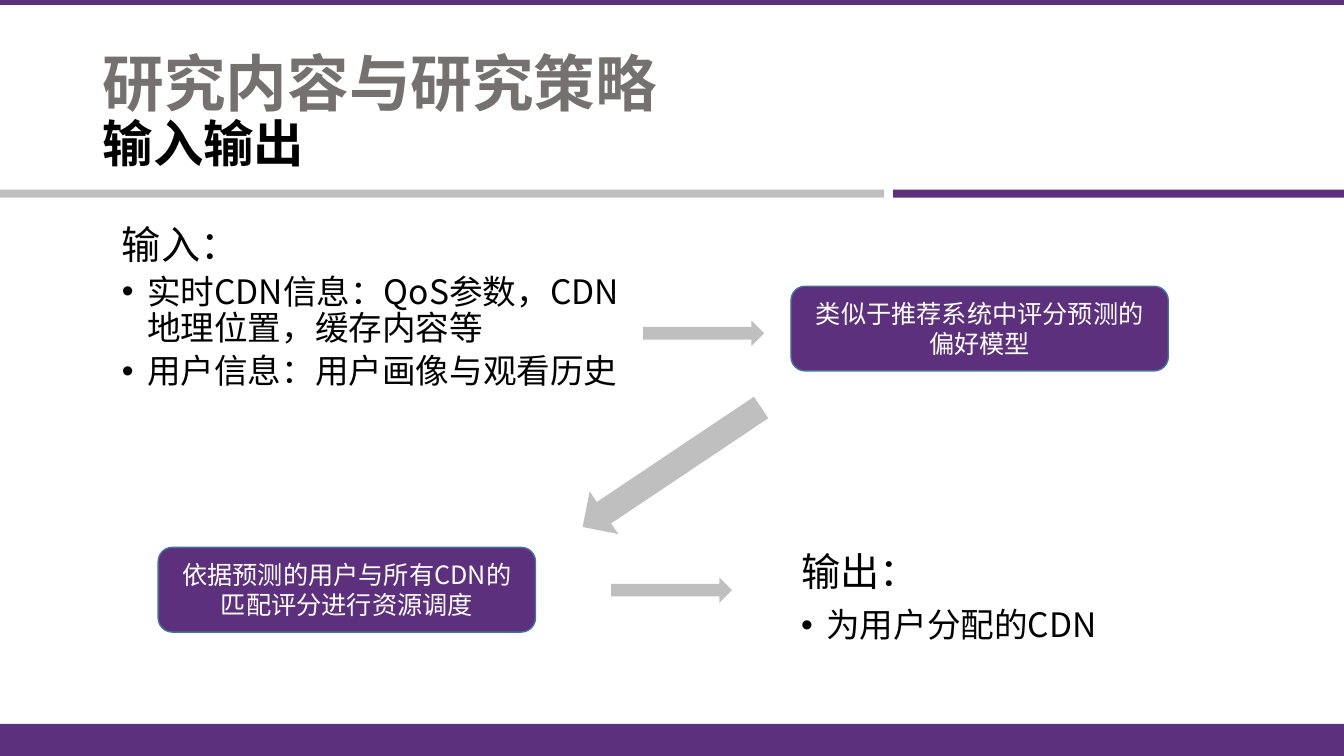
"""Build the slide on research content and strategy: inputs and outputs."""
from dataclasses import dataclass
from typing import Optional

import lxml.etree
import pptx
import pptx.dml.color
import pptx.enum.shapes
import pptx.enum.text
import pptx.oxml.ns
import pptx.util

Pt = pptx.util.Pt
ShapeType = pptx.enum.shapes.MSO_SHAPE
Align = pptx.enum.text.PP_ALIGN
Anchor = pptx.enum.text.MSO_ANCHOR

FONT = "Noto Sans CJK SC"
COLORS = {
    "purple": "5C307D",
    "silver": "BFBFBF",
    "gray": "767171",
    "outline": "43739E",
    "black": "000000",
    "white": "FFFFFF",
}
WIDTH, HEIGHT = 960, 540
BULLET_INDENT = 18


@dataclass(frozen=True)
class Box:
    left: float
    top: float
    width: float
    height: float


@dataclass(frozen=True)
class Figure:
    kind: ShapeType
    box: Box
    color: str
    rotation: float = 0
    text: Optional[str] = None


@dataclass(frozen=True)
class BulletList:
    box: Box
    heading: str
    items: tuple[str, ...]
    margin: float
    space_before: float


BARS = (
    Figure(ShapeType.RECTANGLE, Box(0, -1.4, WIDTH, 5), "purple"),
    Figure(ShapeType.RECTANGLE, Box(0, 517, WIDTH, 23), "purple"),
    Figure(ShapeType.RECTANGLE, Box(0, 135.4, 631.4, 5.8), "silver"),
    Figure(ShapeType.RECTANGLE, Box(638, 135.4, 322, 5.8), "purple"),
)
STEPS = (
    Figure(ShapeType.ROUNDED_RECTANGLE, Box(565, 204.5, 269.5, 60.5), "purple",
           text="类似于推荐系统中评分预测的偏好模型"),
    Figure(ShapeType.ROUNDED_RECTANGLE, Box(113, 391, 269.5, 60.5), "purple",
           text="依据预测的用户与所有CDN的匹配评分进行资源调度"),
)
ARROWS = (
    Figure(ShapeType.RIGHT_ARROW, Box(459.4, 229, 86.4, 18), "silver"),
    Figure(ShapeType.RIGHT_ARROW, Box(403.2, 315.4, 153.4, 36.7), "silver", 146.2),
    Figure(ShapeType.RIGHT_ARROW, Box(436.5, 412.5, 86.4, 18), "silver"),
)
LISTS = (
    BulletList(Box(44, 157.7, 408.2, 230), "输入：",
               ("实时CDN信息：QoS参数，CDN地理位置，缓存内容等", "用户信息：用户画像与观看历史"),
               36, 5),
    BulletList(Box(565.2, 391, 390, 120), "输出：", ("为用户分配的CDN",), 0, 10),
)


def rgb(name: str) -> pptx.dml.color.RGBColor:
    """Return the named colour."""
    return pptx.dml.color.RGBColor.from_string(COLORS[name])


def lengths(box: Box) -> tuple[pptx.util.Length, ...]:
    """Return the left, top, width and height of a box."""
    return Pt(box.left), Pt(box.top), Pt(box.width), Pt(box.height)


def format_run(run, size: float, color: str, bold: bool = False) -> None:
    """Set the font of a run for Latin and Chinese text."""
    run.font.size = Pt(size)
    run.font.bold = bold
    run.font.color.rgb = rgb(color)
    run.font.name = FONT
    properties = run.font._element
    east_asian = lxml.etree.Element(pptx.oxml.ns.qn("a:ea"), typeface=FONT)
    properties.find(pptx.oxml.ns.qn("a:latin")).addnext(east_asian)


def draw_title(slide) -> None:
    """Place and format the two-line title."""
    title = slide.shapes.title
    title.left, title.top, title.width, title.height = lengths(Box(66.2, 28.8, 828, 104.4))
    title.text_frame.text = "研究内容与研究策略\v输入输出"
    title.text_frame.vertical_anchor = Anchor.MIDDLE
    title.text_frame.auto_size = pptx.enum.text.MSO_AUTO_SIZE.NONE
    paragraph = title.text_frame.paragraphs[0]
    paragraph.alignment = Align.LEFT
    paragraph.line_spacing = 0.9
    topic, subtopic = paragraph.runs
    format_run(topic, 44, "gray", bold=True)
    format_run(subtopic, 36, "black", bold=True)


def draw_figure(slide, figure: Figure) -> None:
    """Draw a bar, an arrow or a labelled step."""
    shape = slide.shapes.add_shape(figure.kind, *lengths(figure.box))
    shape.shadow.inherit = False
    shape.rotation = figure.rotation
    shape.fill.solid()
    shape.fill.fore_color.rgb = rgb(figure.color)
    if figure.text is None:
        shape.line.fill.background()
        return
    shape.line.color.rgb = rgb("outline")
    shape.line.width = Pt(1)
    shape.text_frame.text = figure.text
    shape.text_frame.word_wrap = True
    shape.text_frame.vertical_anchor = Anchor.MIDDLE
    paragraph = shape.text_frame.paragraphs[0]
    paragraph.alignment = Align.CENTER
    format_run(paragraph.runs[0], 18, "white")


def indent(paragraph, margin: float, bullet: bool) -> None:
    """Set the left margin of a paragraph and its hanging bullet."""
    hanging = BULLET_INDENT if bullet else 0
    properties = paragraph._p.get_or_add_pPr()
    properties.set("marL", str(Pt(margin + hanging)))
    properties.set("indent", str(-Pt(hanging)))
    if bullet:
        for tag, name, value in (("a:buFont", "typeface", "Arial"), ("a:buChar", "char", "•")):
            lxml.etree.SubElement(properties, pptx.oxml.ns.qn(tag)).set(name, value)


def draw_list(slide, bullet_list: BulletList) -> None:
    """Draw a heading with its bulleted items."""
    text_frame = slide.shapes.add_textbox(*lengths(bullet_list.box)).text_frame
    text_frame.word_wrap = True
    text_frame.text = "\n".join((bullet_list.heading, *bullet_list.items))
    for index, paragraph in enumerate(text_frame.paragraphs):
        paragraph.line_spacing = 0.9
        paragraph.space_before = Pt(bullet_list.space_before)
        indent(paragraph, bullet_list.margin, bullet=index > 0)
        format_run(paragraph.runs[0], 24 if index else 28, "black")


def main() -> None:
    """Build and save the presentation."""
    presentation = pptx.Presentation()
    presentation.slide_width, presentation.slide_height = Pt(WIDTH), Pt(HEIGHT)
    slide = presentation.slides.add_slide(presentation.slide_layouts[5])
    draw_title(slide)
    for bullet_list in LISTS:
        draw_list(slide, bullet_list)
    for figure in BARS + STEPS + ARROWS:
        draw_figure(slide, figure)
    presentation.save("out.pptx")


if __name__ == "__main__":
    main()
